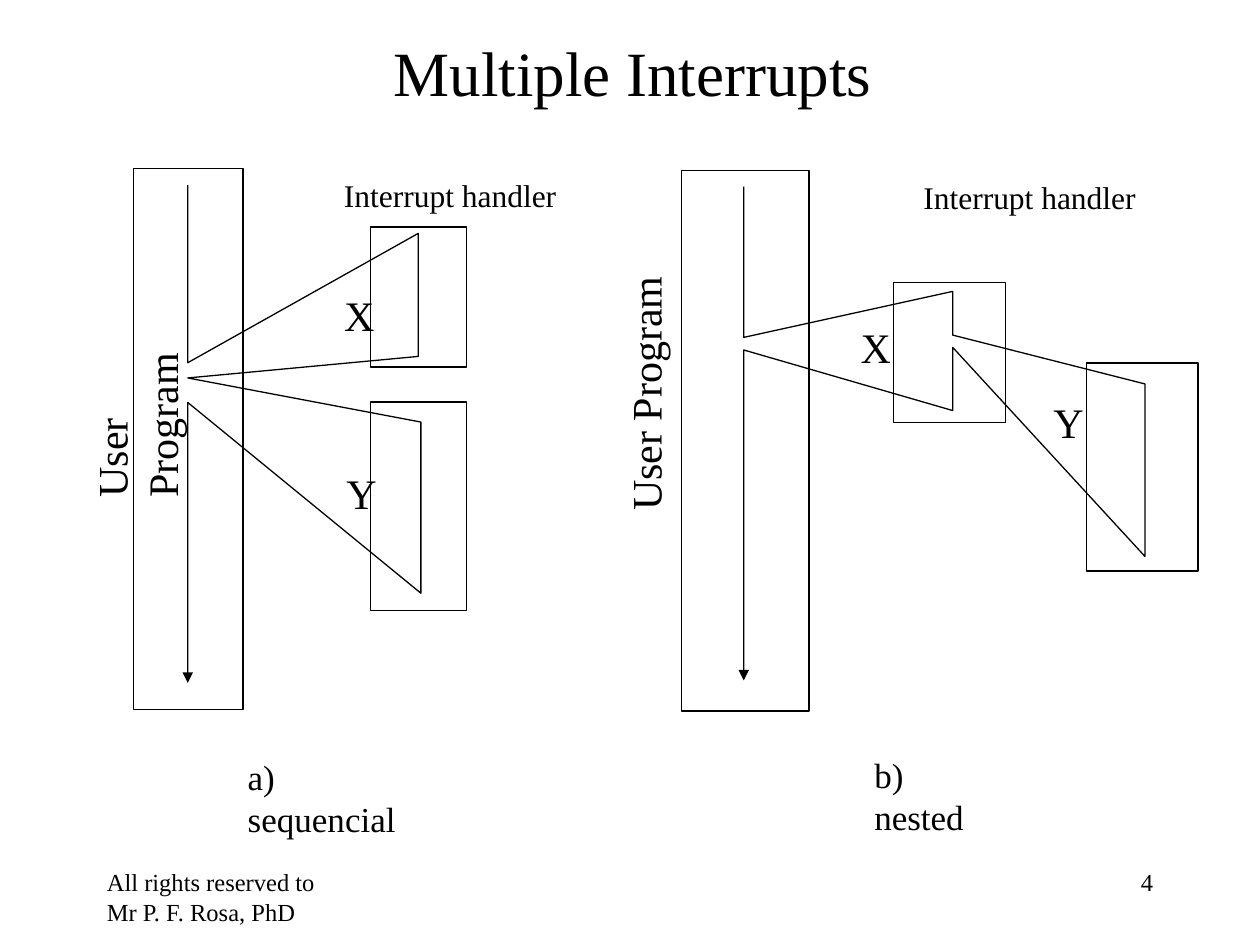
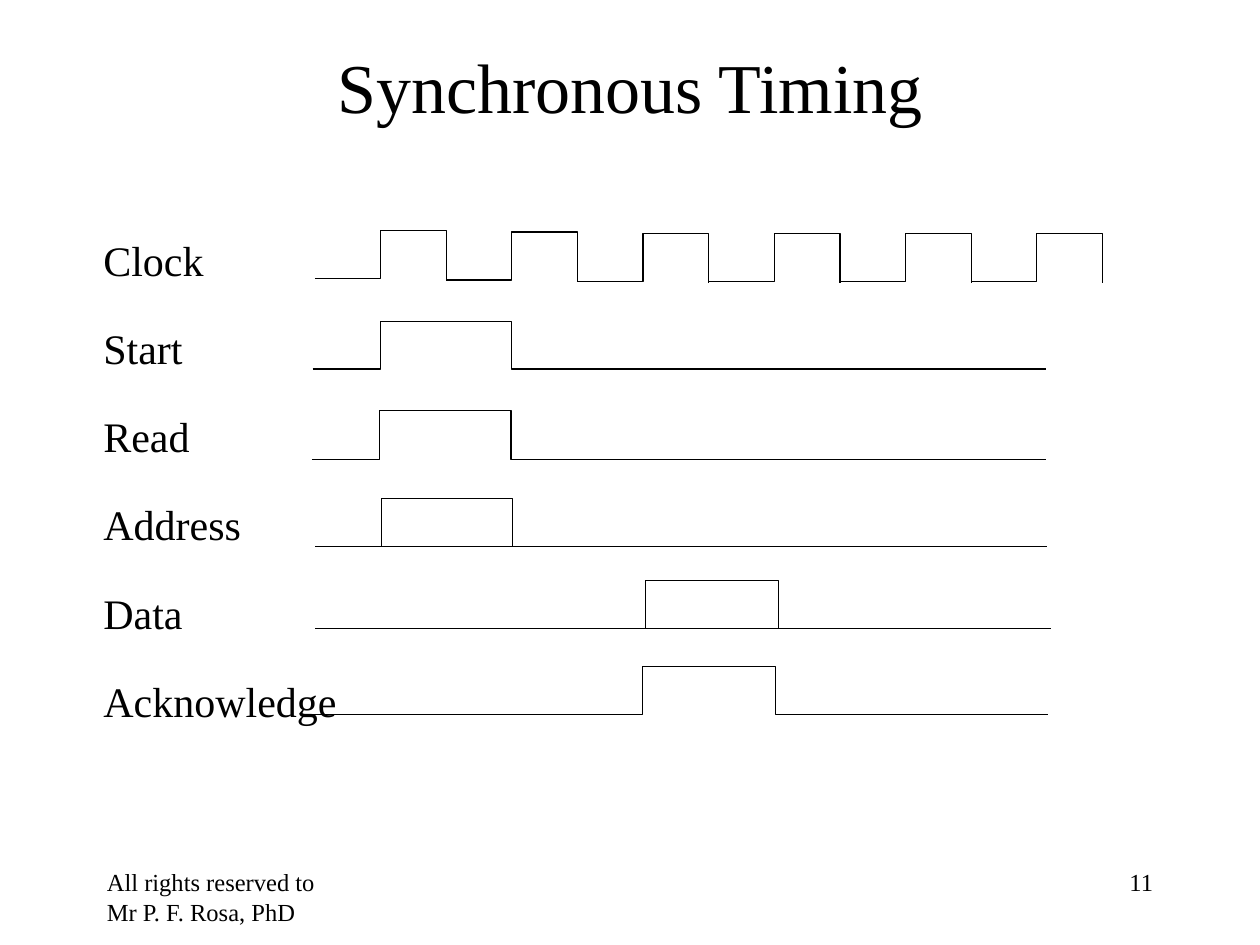
from pptx import Presentation
from pptx.dml.color import RGBColor
from pptx.enum import shapes, text
from pptx.oxml.ns import qn
from pptx.util import Pt
from lxml import etree

COLORS = {"ink": "000000", "paper": "FFFFFF"}
FONT = "Times New Roman"
LINE_WIDTH = 0.75
FOOTER = "All rights reserved to Mr P. F. Rosa, PhD"


def color(name):
    return RGBColor.from_string(COLORS[name])


# --- Kinds of element ---
def add_text(slide, box, lines, size, align=text.PP_ALIGN.LEFT,
             anchor=text.MSO_ANCHOR.TOP, spacing=None, side_inset=7.2):
    label = slide.shapes.add_textbox(*map(Pt, box))
    frame = label.text_frame
    frame.word_wrap = True
    frame.vertical_anchor = anchor
    frame.margin_left = frame.margin_right = Pt(side_inset)
    frame.margin_top = frame.margin_bottom = Pt(3.6)
    frame.text = lines
    for paragraph in frame.paragraphs:
        paragraph.alignment = align
        paragraph.font.name = FONT
        paragraph.font.size = Pt(size)
        paragraph.font.color.rgb = color("ink")
        if spacing:
            paragraph.line_spacing = spacing
    return label


def draw_outline(line):
    line.color.rgb = color("ink")
    line.width = Pt(LINE_WIDTH)


def add_block(slide, box):
    block = slide.shapes.add_shape(shapes.MSO_SHAPE.RECTANGLE, *map(Pt, box))
    block.shadow.inherit = False
    block.fill.background()
    draw_outline(block.line)


def add_trace(slide, points, arrow=False):
    start, *rest = [(Pt(x), Pt(y)) for x, y in points]
    builder = slide.shapes.build_freeform(*start, scale=1.0)
    builder.add_line_segments(rest, close=False)
    trace = builder.convert_to_shape()
    trace.shadow.inherit = False
    trace.fill.background()
    draw_outline(trace.line)
    if arrow:
        ln = trace.line._get_or_add_ln()
        etree.SubElement(ln, qn("a:tailEnd"), type="triangle")


def add_line(slide, x1, x2, y):
    line = slide.shapes.add_connector(
        shapes.MSO_CONNECTOR.STRAIGHT, Pt(x1), Pt(y), Pt(x2), Pt(y))
    draw_outline(line.line)
    etree.SubElement(line._element.spPr, qn("a:effectLst"))


def add_page(deck, title, title_box, size, number):
    slide = deck.slides.add_slide(deck.slide_layouts[6])
    slide.background.fill.solid()
    slide.background.fill.fore_color.rgb = color("paper")
    add_text(slide, (54, 492, 150, 36), FOOTER, 14)
    add_text(slide, (516, 492, 150, 36), number, 14, text.PP_ALIGN.RIGHT)
    add_text(slide, title_box, title, size, text.PP_ALIGN.CENTER,
             text.MSO_ANCHOR.MIDDLE)
    return slide


# --- Multiple interrupts ---
def add_interrupt_diagram(slide, program, program_label, label_inset, handlers,
                          letters, heading, caption, caption_box, flow):
    add_block(slide, program)
    add_text(slide, (*program_label, 150, 36), "User Program", 24,
             side_inset=label_inset).rotation = 270
    for handler in handlers:
        add_block(slide, handler)
    add_trace(slide, flow, arrow=True)
    add_text(slide, (*heading, 138, 29), "Interrupt handler", 18)
    for letter, place in zip("XY", letters):
        add_text(slide, (*place, 32, 36), letter, 24)
    add_text(slide, caption_box, caption, 20)


def build_interrupts(deck):
    slide = add_page(deck, "Multiple Interrupts", (55.5, 9.5, 612, 63), 36, "4")

    main_x, x_handler, y_handler = 107.3, 239, 240.5
    add_interrupt_diagram(
        slide,
        program=(76.4, 96.3, 62.6, 309),
        program_label=(-11.6, 208.8), label_inset=17.5,
        handlers=[(211.7, 129.7, 54.8, 80), (211.7, 229.8, 54.8, 119)],
        letters=[(189.5, 162), (190.8, 263.5)],
        heading=(189.5, 97.2),
        caption="a) sequencial", caption_box=(134.5, 428.3, 116, 31),
        flow=[(main_x, 105.8), (main_x, 207.3), (x_handler, 133.4),
              (x_handler, 203.7), (main_x, 216), (y_handler, 241.2),
              (y_handler, 339), (main_x, 230), (main_x, 390.2)])

    main_x, x_handler, y_handler = 425, 544.4, 654.3
    add_interrupt_diagram(
        slide,
        program=(389.6, 97.3, 72.7, 309),
        program_label=(293.6, 206), label_inset=7.2,
        handlers=[(510.5, 161.3, 64, 80), (620.7, 207.4, 64, 119)],
        letters=[(484.7, 180), (594.8, 223.2)],
        heading=(520.6, 98),
        caption="b) nested", caption_box=(492.5, 427, 84, 31),
        flow=[(main_x, 106.6), (main_x, 192.8), (x_handler, 166.5),
              (x_handler, 191.5), (y_handler, 219.4), (y_handler, 318),
              (x_handler, 198.5), (x_handler, 234.6), (main_x, 200),
              (main_x, 388.8)])


# --- Synchronous timing ---
def add_clock(slide, left=180, period=75, cycles=6):
    for cycle in range(cycles):
        x = left + cycle * period
        top = 131.7 + 0.9 * min(cycle, 2)
        low, rise, fall = top + 27.5, x + period / 2, x + period
        add_trace(slide, [(x, low), (rise, low), (rise, top),
                          (fall, top), (fall, low + 0.8)])


def add_pulse(slide, start, rise, fall, end, top, low, closed):
    add_trace(slide, [(start, low), (rise, low), (rise, top),
                      (fall, top), (fall, low), (end, low)])
    if closed:
        add_line(slide, rise, fall, low)


def build_timing(deck):
    slide = add_page(deck, "Synchronous Timing", (54, 18.7, 612, 60.5), 40, "11")
    add_clock(slide)
    # start, rise, fall, end, top, low, closed along the bottom
    pulses = [
        (178.6, 217.4, 292.3, 598, 183.6, 210.8, False),   # Start
        (178.2, 216.8, 292, 597.8, 234.8, 262.4, False),   # Read
        (180, 218, 293, 598.6, 285, 312.4, True),          # Address
        (180, 368.8, 445, 600.8, 331.8, 359.2, True),      # Data
        (178, 367, 443.4, 599, 381, 408.4, False),         # Acknowledge
    ]
    for pulse in pulses:
        add_pulse(slide, *pulse)
    signals = ["Clock", "Start", "Read", "Address", "Data", "Acknowledge"]
    add_text(slide, (52, 108.7, 150, 309.6), "\n".join(signals), 24, spacing=1.75)


def main():
    deck = Presentation()
    deck.slide_width, deck.slide_height = Pt(720), Pt(540)
    build_interrupts(deck)
    build_timing(deck)
    deck.save("out.pptx")


main()
